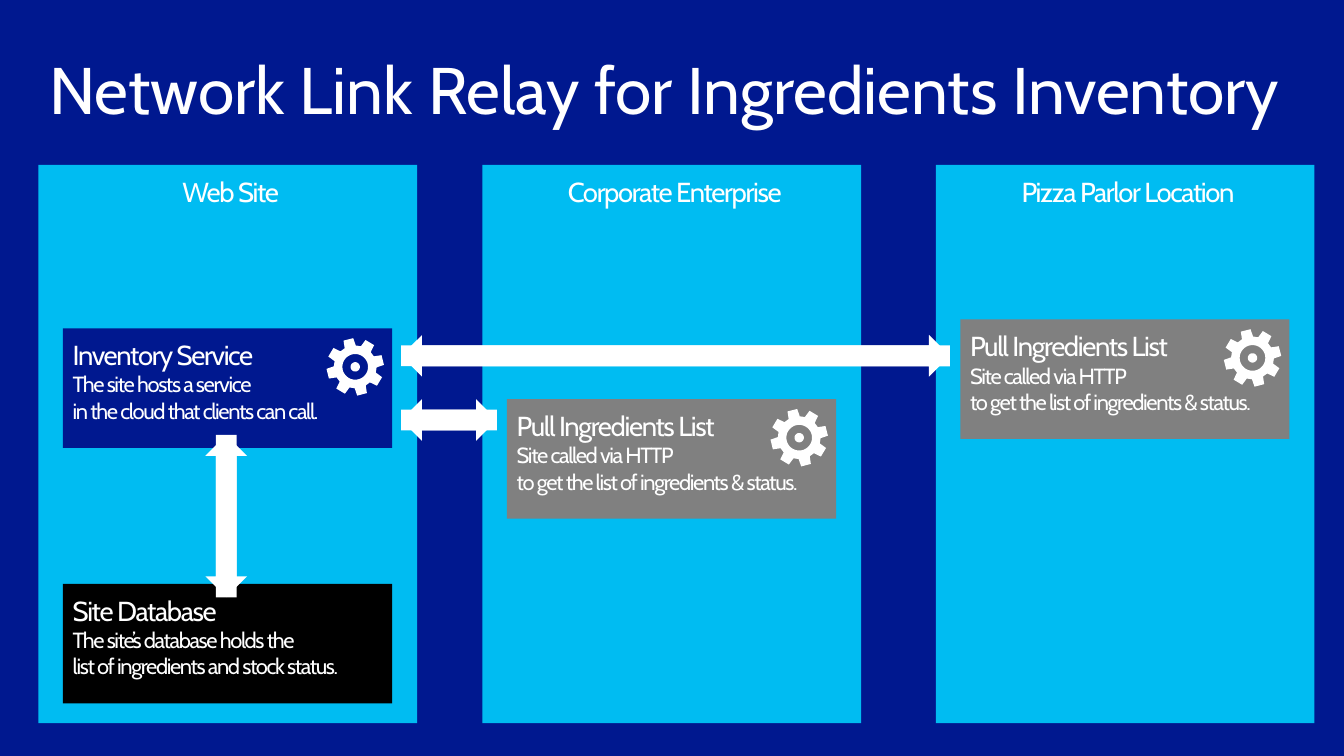
from math import cos, radians, sin

from pptx import Presentation
from pptx.dml.color import RGBColor
from pptx.enum.shapes import MSO_SHAPE
from pptx.enum.text import MSO_ANCHOR, PP_ALIGN
from pptx.util import Cm, Pt

NAVY, CYAN, GRAY, BLACK, WHITE = "00188F", "00BCF2", "808080", "000000", "FFFFFF"

TITLE = "Network Link Relay for Ingredients Inventory"
COLUMNS = [("Web Site", 0.99), ("Corporate Enterprise", 12.4), ("Pizza Parlor Location", 24.05)]
COLUMN_TOP, COLUMN_WIDTH, COLUMN_HEIGHT = 4.24, 9.73, 14.35

PULL_LINES = ["Pull Ingredients List", "Site called via HTTP", "to get the list of ingredients & status."]
CARDS = [
    {"column": 0, "top": 8.44, "color": NAVY, "gear": True,
     "lines": ["Inventory Service", "The site hosts a service", "in the cloud that clients can call."]},
    {"column": 0, "top": 15.01, "color": BLACK, "gear": False,
     "lines": ["Site Database", "The site’s database holds the", "list of ingredients and stock status."]},
    {"column": 2, "top": 8.21, "color": GRAY, "gear": True, "lines": PULL_LINES},
    {"column": 1, "top": 10.26, "color": GRAY, "gear": True, "lines": PULL_LINES},
]
CARD_INDENT, CARD_WIDTH, CARD_HEIGHT = 0.63, 8.46, 3.07

ARROWS = [(10.31, 8.61, 14.1, 0), (10.31, 10.26, 2.46, 0), (3.73, 12.73, 4.17, 90)]
ARROW_HEIGHT = 1.07

GEAR_X, GEAR_Y, GEAR_TEETH = 7.51, 0.99, 8
TIP_RADIUS, ROOT_RADIUS, RING_RADIUS, HUB_RADIUS = 0.74, 0.55, 0.33, 0.12

TITLE_INSETS = {"margin_left": Cm(0.51), "margin_right": Cm(0.51),
                "margin_top": Cm(0.41), "margin_bottom": Cm(0.41)}
PANEL_INSETS = {"margin_left": Cm(0.25), "margin_right": Cm(0.1),
                "margin_top": Cm(0.25), "margin_bottom": Cm(0.1)}


def color(value):
    return RGBColor.from_string(value)


def apply(target, formats):
    for name, value in formats.items():
        setattr(target, name, value)


def paint(shape, value):
    shape.shadow.inherit = False
    shape.fill.solid()
    shape.fill.fore_color.rgb = color(value)
    shape.line.fill.background()


def write(box, lines, insets, align=PP_ALIGN.LEFT, spacing=None):
    frame = box.text_frame
    apply(frame, {"word_wrap": True, "vertical_anchor": MSO_ANCHOR.TOP, **insets})
    for index, (text, size) in enumerate(lines):
        para = frame.add_paragraph() if index else frame.paragraphs[0]
        para.alignment = align
        span = para.add_run()
        span.text = text
        apply(span.font, {"name": "Cabin", "size": Pt(size)})
        span.font.color.rgb = color(WHITE)
        if spacing:
            span.font._element.set("spc", str(spacing))


def add_panel(page, left, top, width, height, fill, lines, align):
    box = page.shapes.add_shape(MSO_SHAPE.RECTANGLE, Cm(left), Cm(top), Cm(width), Cm(height))
    paint(box, fill)
    write(box, lines, PANEL_INSETS, align, spacing=-100)


def add_gear(page, center_x, center_y):
    def point(radius, angle):
        return (Cm(center_x + radius * cos(radians(angle))),
                Cm(center_y + radius * sin(radians(angle))))

    step = 360 / GEAR_TEETH
    rim = []
    for tooth in range(GEAR_TEETH):
        middle = tooth * step - 14
        rim += [point(TIP_RADIUS, middle - 10), point(TIP_RADIUS, middle + 10),
                point(ROOT_RADIUS, middle + 15.5), point(ROOT_RADIUS, middle + 29.5)]
    circles = [[point(radius, angle) for angle in range(0, 360, 10)]
               for radius in (RING_RADIUS, HUB_RADIUS)]
    builder = page.shapes.build_freeform(*rim[0])
    builder.add_line_segments(rim[1:], close=True)
    for circle in circles:
        builder.move_to(*circle[0])
        builder.add_line_segments(circle[1:], close=True)
    paint(builder.convert_to_shape(), WHITE)


def main():
    deck = Presentation()
    apply(deck, {"slide_width": Cm(34.54), "slide_height": Cm(19.43)})
    page = deck.slides.add_slide(deck.slide_layouts[6])
    page.background.fill.solid()
    page.background.fill.fore_color.rgb = color(NAVY)

    heading = page.shapes.add_textbox(Cm(0.76), Cm(0.84), Cm(33.02), Cm(2.54))
    write(heading, [(TITLE, 48)], TITLE_INSETS)

    for name, left in COLUMNS:
        add_panel(page, left, COLUMN_TOP, COLUMN_WIDTH, COLUMN_HEIGHT, CYAN,
                  [(name, 20)], PP_ALIGN.CENTER)

    for card in CARDS:
        left, top = COLUMNS[card["column"]][1] + CARD_INDENT, card["top"]
        label, *details = card["lines"]
        lines = [(label, 20)] + [(detail, 16) for detail in details]
        add_panel(page, left, top, CARD_WIDTH, CARD_HEIGHT, card["color"], lines, PP_ALIGN.LEFT)
        if card["gear"]:
            add_gear(page, left + GEAR_X, top + GEAR_Y)

    for left, top, length, turn in ARROWS:
        for direction in (0, 180):
            arrow = page.shapes.add_shape(MSO_SHAPE.RIGHT_ARROW, Cm(left), Cm(top),
                                          Cm(length), Cm(ARROW_HEIGHT))
            arrow.rotation = turn + direction
            paint(arrow, WHITE)

    deck.save("out.pptx")


if __name__ == "__main__":
    main()
